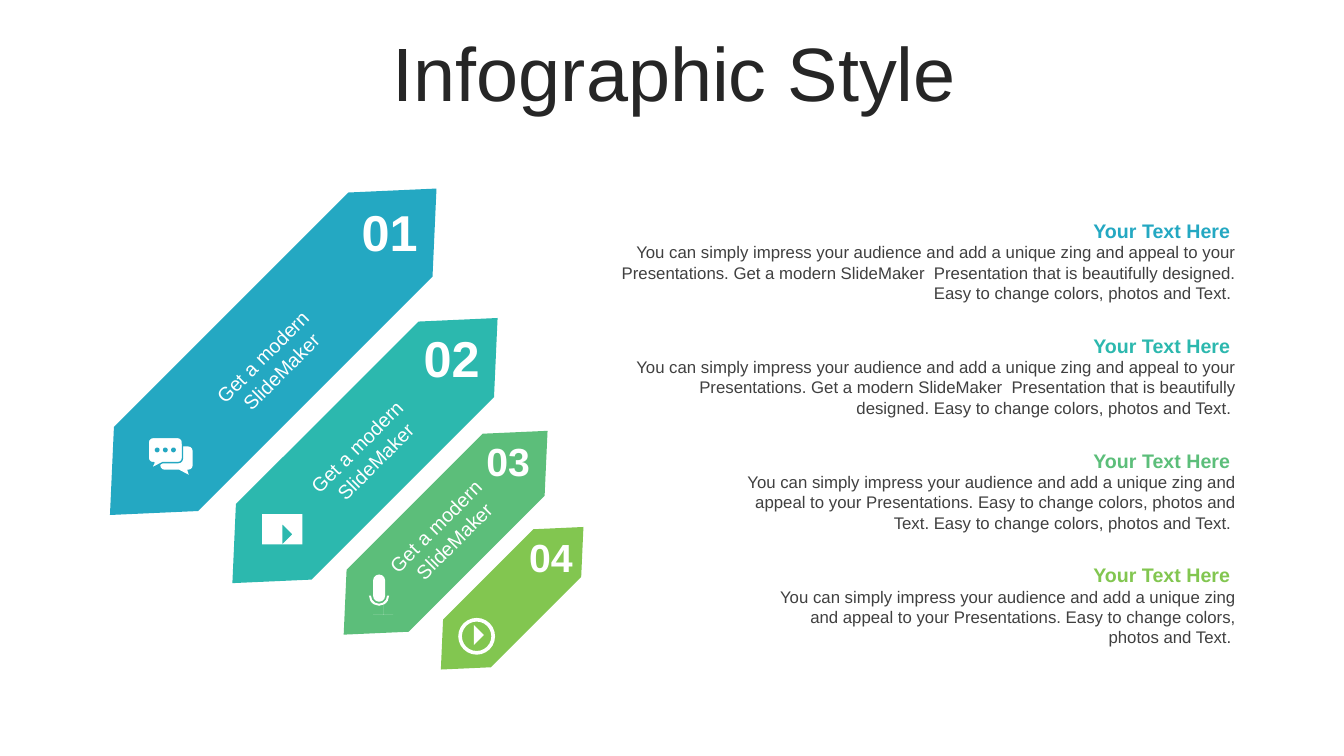
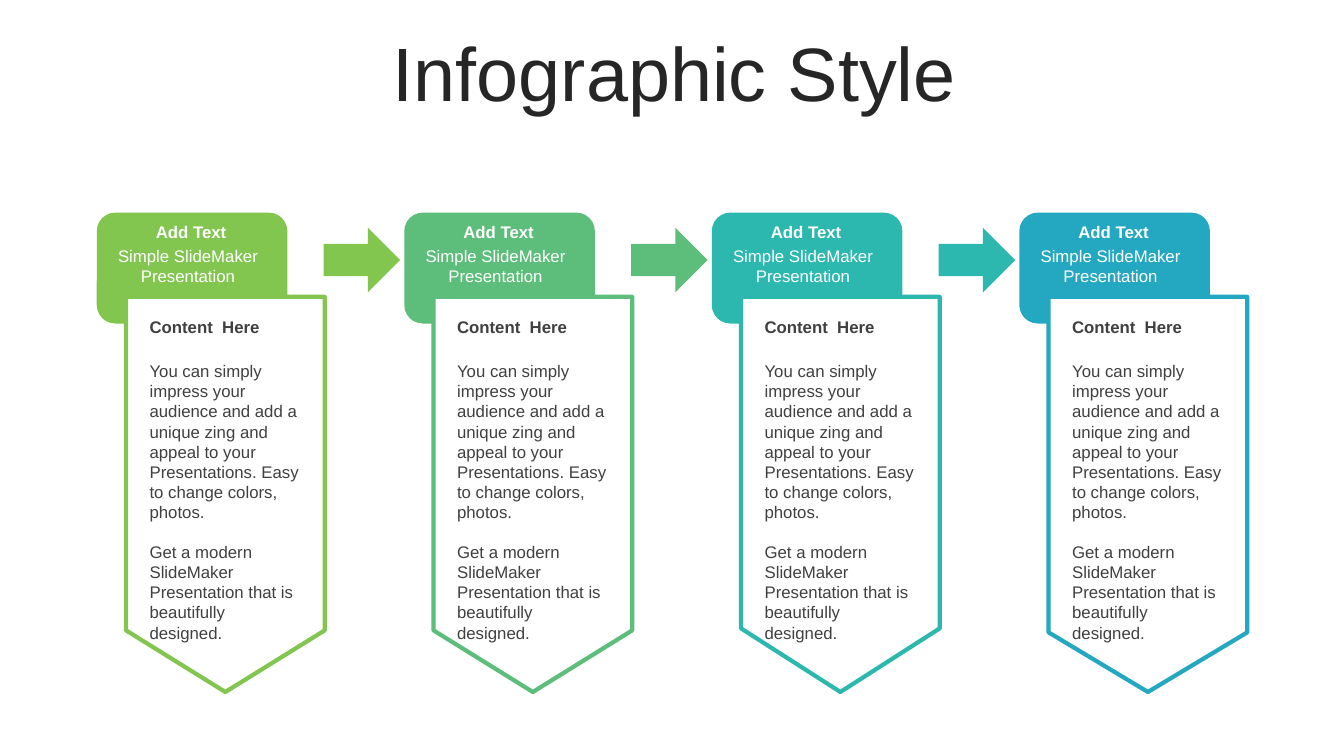
from pptx import Presentation
from pptx import util as u
from pptx.dml.color import RGBColor
from pptx.enum import shapes, text

COLORS = {
    "blue": "24A8C2",
    "teal": "2CB8AE",
    "green": "5CBE7A",
    "lime": "82C650",
    "white": "FFFFFF",
    "title": "262626",
    "body": "404040",
}
FONT = "Arial"
SHAPES = shapes.MSO_SHAPE
ALIGNMENTS = {
    "left": text.PP_ALIGN.LEFT,
    "center": text.PP_ALIGN.CENTER,
    "right": text.PP_ALIGN.RIGHT,
}
IMPRESS = "You can simply impress your audience and add a unique zing and appeal to your Presentations. "
MODERN = "Get a modern SlideMaker  Presentation that is beautifully designed."
EASY = "Easy to change colors, photos and Text. "


def cells(count):
    return u.Inches(count / 10)


def color(name):
    return RGBColor.from_string(COLORS[name])


def rectangle(column, row, width, height):
    right, bottom = column + width, row + height
    return [(column, row), (right, row), (right, bottom), (column, bottom)]


def write(frame, content, size=12, ink="body", bold=False, align="left",
          gap=0, line_spacing=None, anchor=text.MSO_ANCHOR.TOP):
    frame.word_wrap = True
    frame.vertical_anchor = anchor
    for index, line in enumerate(content.split("\n")):
        paragraph = frame.add_paragraph() if index else frame.paragraphs[0]
        paragraph.text = line
        paragraph.alignment = ALIGNMENTS[align]
        paragraph.line_spacing = line_spacing
        if index and gap:
            paragraph.space_before = u.Pt(gap)
        paragraph.font.name = FONT
        paragraph.font.size = u.Pt(size)
        paragraph.font.bold = bold
        paragraph.font.color.rgb = color(ink)


class Deck:
    def __init__(self):
        self.presentation = Presentation()
        self.presentation.slide_width = u.Inches(13.33)
        self.presentation.slide_height = u.Inches(7.5)
        self.slide = None

    def new_slide(self, title):
        self.slide = self.presentation.slides.add_slide(self.presentation.slide_layouts[6])
        self.label(title, 3.6, 3.7, 126.6, 7.9, size=54, ink="title", align="center",
                   line_spacing=0.9, anchor=text.MSO_ANCHOR.MIDDLE)

    def label(self, content, column, row, width, height, rotation=0, **style):
        box = self.slide.shapes.add_textbox(*map(cells, (column, row, width, height)))
        box.rotation = rotation
        write(box.text_frame, content, **style)

    def paint(self, shape, fill, line=None, line_width=3):
        shape.shadow.inherit = False
        shape.fill.solid()
        shape.fill.fore_color.rgb = color(fill)
        if line:
            shape.line.color.rgb = color(line)
            shape.line.width = u.Pt(line_width)
        else:
            shape.line.fill.background()

    def shape(self, kind, column, row, width, height, fill="white",
              rotation=0, adjust=(), **outline):
        shape = self.slide.shapes.add_shape(kind, *map(cells, (column, row, width, height)))
        shape.rotation = rotation
        for index, value in enumerate(adjust):
            shape.adjustments[index] = value
        self.paint(shape, fill, **outline)

    def outline(self, contours, fill="white"):
        builder = self.slide.shapes.build_freeform(*contours[0][0], scale=cells(1))
        for index, (start, *points) in enumerate(contours):
            if index:
                builder.move_to(*start)
            builder.add_line_segments(points)
        self.paint(builder.convert_to_shape(), fill)

    def chat_icon(self, background):
        bubble = SHAPES.ROUNDED_RECTANGULAR_CALLOUT
        self.shape(bubble, 15.9, 44.3, 3.2, 2.3, adjust=(0.38, 0.72, 0.18))
        self.shape(bubble, 14.7, 43.4, 3.4, 2.5, line=background, line_width=1,
                   adjust=(-0.42, 0.74, 0.18))
        for index in range(3):
            self.shape(SHAPES.OVAL, 15.35 + 0.81 * index, 44.4, 0.48, 0.48, fill=background)

    def film_icon(self, background):
        holes = [rectangle(column, 51.48 + 0.33 * index, 0.4, 0.17)
                 for column in (26.6, 29.5) for index in range(9)]
        window = [(27.5, 52), (27.5, 53.8), (29.2, 52.9)]
        self.outline([rectangle(26.4, 51.3, 3.8, 3.2), window, *holes])

    def microphone_icon(self, background):
        self.shape(SHAPES.ROUNDED_RECTANGLE, 37, 57, 1.2, 2.7, adjust=(0.5,))
        self.shape(SHAPES.BLOCK_ARC, 36.6, 58.1, 2, 2, adjust=(0, 108, 0.1))
        self.outline([[(37.5, 60), (37.7, 60), (37.7, 60.7), (38.3, 60.9), (38.6, 61.3),
                       (36.7, 61.3), (36.9, 60.9), (37.5, 60.7)]])

    def play_icon(self, background):
        self.shape(SHAPES.DONUT, 45.45, 61.3, 3.65, 3.65, adjust=(0.1,))
        self.outline([[(46.7, 62.3), (48.1, 63.1), (46.7, 63.9)]])

    def ribbon(self, number, fill, frame, number_frame, number_size, caption_frame):
        self.shape(SHAPES.HEXAGON, *frame, fill=fill, rotation=315, adjust=(0.547,))
        self.label(number, *number_frame, size=number_size, ink="white", bold=True, align="center")
        if caption_frame:
            self.label("Get a modern \nSlideMaker", *caption_frame, rotation=315,
                       size=14, ink="white", align="center")

    def description(self, content, column, row, ink):
        self.label("Your Text Here", column, row, 123 - column, 3.4,
                   size=14, ink=ink, bold=True, align="right")
        self.label(content, column, row + 2.33, 123.6 - column, 7.1, align="right")

    def step(self, column, fill, point, arrow):
        if arrow:
            self.shape(SHAPES.RIGHT_ARROW, column + 22.5, 22.6, 7.6, 6.4, fill=fill)
        self.shape(SHAPES.ROUNDED_RECTANGLE, column, 21.1, 18.9, 11, fill=fill)
        self.shape(SHAPES.PENTAGON, column - 6.85, 39.2, 39.2, 19.7, line=fill,
                   rotation=90, adjust=(point,))
        self.label("Add Text", column + 0.25, 21.5, 18.2, 3, ink="white", bold=True, align="center")
        self.label("Simple SlideMaker Presentation", column - 0.05, 23.9, 18.2, 5,
                   ink="white", align="center")
        self.label("Content  Here", column + 4.25, 30.9, 17.3, 3, bold=True)
        self.label(f"{IMPRESS}Easy to change colors, photos.\n{MODERN}",
                   column + 4.25, 35.3, 17.1, 27.3, gap=14)


def ribbons_slide(deck):
    deck.new_slide("Infographic Style")
    ribbons = [
        ("01", "blue", (4.2, 29, 45.8, 11.8), (34.3, 19.45, 8.7, 7.1), 36, (15.6, 33.2, 22.9, 5.7)),
        ("02", "teal", (17.6, 39.4, 37.2, 10.6), (40.45, 31.95, 8.7, 7.1), 36, (26.2, 42.1, 20.4, 5.7)),
        ("03", "green", (29.9, 48.5, 28.6, 8.7), (46.8, 42.9, 7.2, 5.7), 28, (35.1, 50, 18.2, 5.7)),
        ("04", "lime", (40.8, 56, 20, 6.7), (50.95, 52.45, 7.4, 5.7), 28, None),
    ]
    for ribbon in ribbons:
        deck.ribbon(*ribbon)
    descriptions = [
        (f"{IMPRESS}{MODERN} {EASY}", 58.5),
        (f"{IMPRESS}{MODERN} {EASY}", 61.4),
        (f"{IMPRESS}{EASY}{EASY}", 71.1),
        (f"{IMPRESS}{EASY}", 75),
    ]
    icons = (deck.chat_icon, deck.film_icon, deck.microphone_icon, deck.play_icon)
    for index, ((content, column), icon) in enumerate(zip(descriptions, icons)):
        fill = ribbons[index][1]
        deck.description(content, column, 21.2 + 11.4 * index, fill)
        icon(fill)


def steps_slide(deck):
    deck.new_slide("Infographic Style")
    steps = [("lime", 0.31), ("green", 0.31), ("teal", 0.32), ("blue", 0.3)]
    for index, (fill, point) in enumerate(steps):
        deck.step(9.6 + 30.5 * index, fill, point, arrow=index < len(steps) - 1)


def main():
    deck = Deck()
    ribbons_slide(deck)
    steps_slide(deck)
    deck.presentation.save("out.pptx")


if __name__ == "__main__":
    main()
